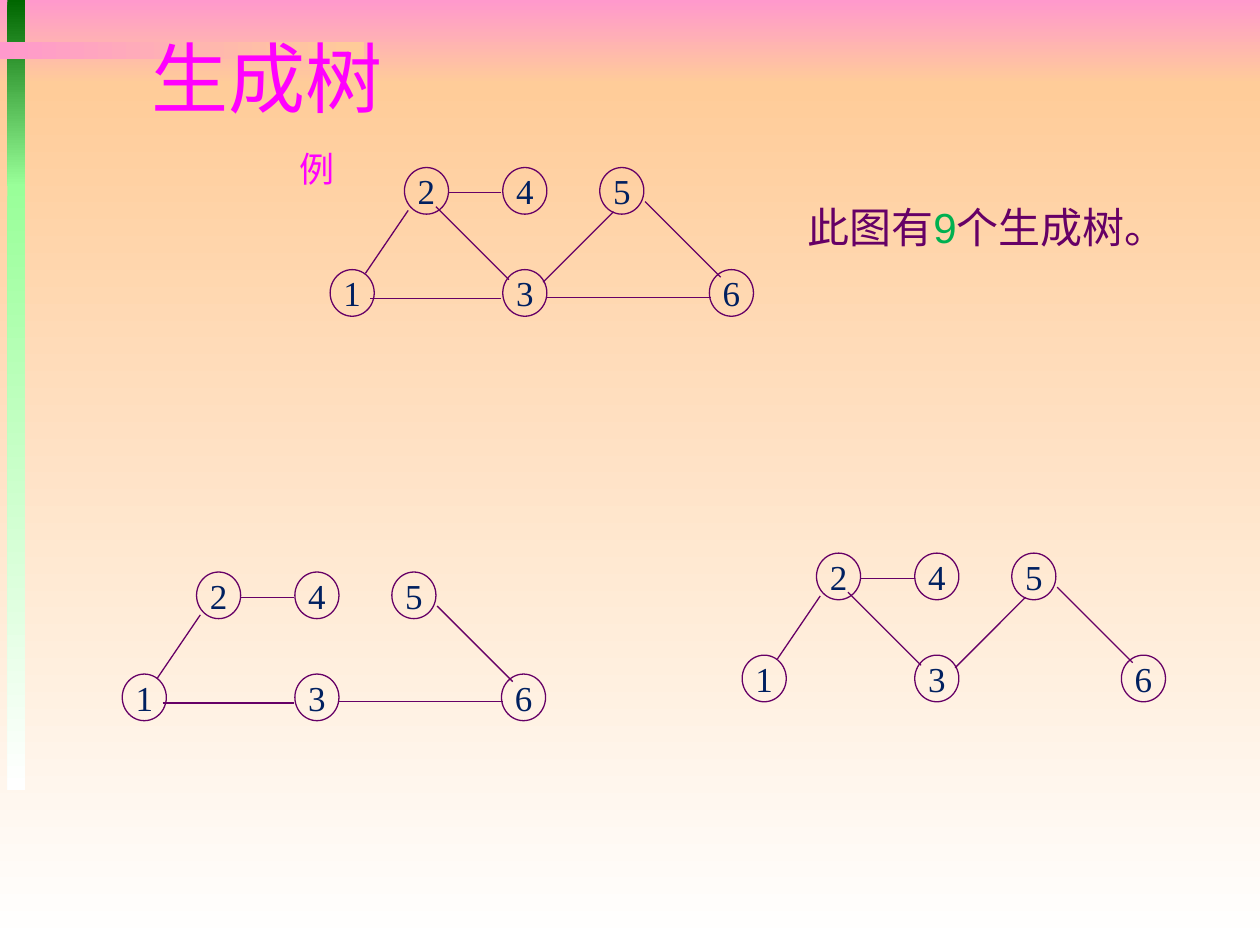
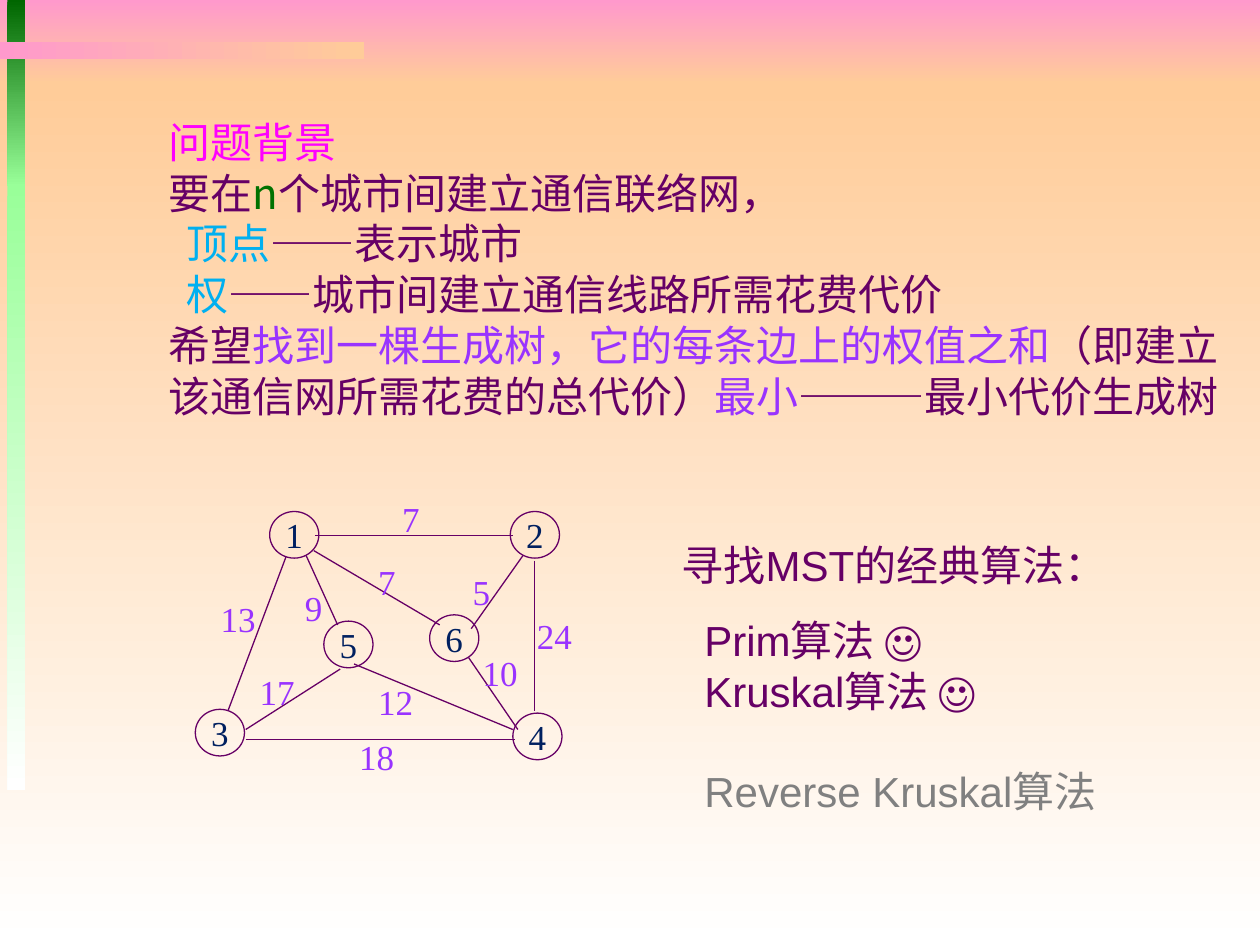
from dataclasses import dataclass

from lxml.etree import SubElement
from pptx import Presentation
from pptx.dml.color import RGBColor
from pptx.enum.shapes import MSO_CONNECTOR, MSO_SHAPE
from pptx.enum.text import MSO_ANCHOR, MSO_AUTO_SIZE, PP_ALIGN
from pptx.oxml.ns import qn
from pptx.util import Inches, Pt

COLS, ROWS = 100, 75
TITLE_ONLY, TWO_LISTS = 5, 3


@dataclass(frozen=True)
class Theme:
    ink: str = "660066"
    node: str = "002060"
    pink: str = "FF00FF"
    violet: str = "9933FF"
    sky: str = "00B0F0"
    green: str = "00B050"
    leaf: str = "007200"
    gray: str = "808080"
    rose: str = "FF99CC"
    peach: str = "FFCC99"
    moss: str = "006600"
    mint: str = "99FF99"
    white: str = "FFFFFF"
    head: int = 44
    text: int = 24
    mark: int = 20
    pitch: int = 29
    line: float = 0.75
    sans: str = "Arial"
    slim: str = "Arial Narrow"
    serif: str = "Times New Roman"
    han: str = "Noto Sans CJK SC"


@dataclass
class Para:
    runs: list
    indent: float = 0
    before: float = 0


class Deck:
    def __init__(self, theme):
        self.theme = theme
        self.file = Presentation()
        self.file.slide_width = Inches(10)
        self.file.slide_height = Inches(7.5)
        self.slide = None
        self.shapes = None

    def x(self, cols):
        return round(self.file.slide_width * cols / COLS)

    def y(self, rows):
        return round(self.file.slide_height * rows / ROWS)

    def box(self, left, top, width, height):
        return self.x(left), self.y(top), self.x(width), self.y(height)

    def start(self, layout):
        self.slide = self.file.slides.add_slide(self.file.slide_layouts[layout])
        self.shapes = self.slide.shapes

    def group(self):
        """Send the next graph parts into a new group."""
        self.shapes = self.slide.shapes.add_group_shape().shapes

    def band(self, spot, first, last, angle):
        shape = self.shapes.add_shape(MSO_SHAPE.RECTANGLE, *self.box(*spot))
        shape.shadow.inherit = False
        shape.line.fill.background()
        shape.fill.gradient()
        shape.fill.gradient_angle = angle
        for stop, tone in zip(shape.fill.gradient_stops, (first, last)):
            stop.color.rgb = RGBColor.from_string(tone)
        return shape

    def backdrop(self):
        """Draw the bands and move them to the master, behind its text."""
        t = self.theme
        down, across = 270, 0
        bands = [
            ((0, 0, 100, 6.7), t.rose, t.peach, down),
            ((0, 6.7, 100, 68.3), t.peach, t.white, down),
            ((0.6, 0, 1.4, 14.8), t.moss, t.mint, down),
            ((0.6, 14.6, 1.4, 48.1), t.mint, t.white, down),
            ((0, 3.3, 28.9, 1.4), t.rose, t.peach, across),
        ]
        tree = self.file.slide_master.shapes.element
        for i, band in enumerate(bands):
            item = self.band(*band).element
            item.nvSpPr.cNvPr.set("id", str(20 + i))
            tree.insert(2 + i, item)

    def fill(self, frame, paras, size, font, align=PP_ALIGN.LEFT,
             anchor=MSO_ANCHOR.TOP, wrap=True, pitch=None):
        frame.auto_size = MSO_AUTO_SIZE.NONE
        frame.word_wrap = wrap
        frame.vertical_anchor = anchor
        for i, para in enumerate(paras):
            line = frame.add_paragraph() if i else frame.paragraphs[0]
            line.alignment = align
            line.space_before = Pt(para.before)
            if pitch:
                line.line_spacing = Pt(pitch)
            props = line._p.get_or_add_pPr()
            props.set("marL", str(self.x(para.indent)))
            props.set("indent", "0")
            SubElement(props, qn("a:buNone"))
            for words, tone in para.runs:
                run = line.add_run()
                run.text = words
                run.font.size = Pt(size)
                run.font.color.rgb = RGBColor.from_string(tone)
                run.font.name = font
                east = SubElement(run._r.get_or_add_rPr(), qn("a:ea"))
                east.set("typeface", self.theme.han)

    def place(self, shape, spot):
        shape.left, shape.top, shape.width, shape.height = self.box(*spot)

    def title(self, words, spot):
        t = self.theme
        shape = self.slide.shapes.title
        self.place(shape, spot)
        self.fill(shape.text_frame, [Para([(words, t.pink)])], t.head, t.slim,
                  anchor=MSO_ANCHOR.MIDDLE)

    def prose(self, paras, spot, font, slot=None):
        """Fill body placeholder number slot, or a new text box."""
        t = self.theme
        if slot is None:
            shape = self.slide.shapes.add_textbox(*self.box(*spot))
        else:
            shape = self.slide.placeholders[slot]
            self.place(shape, spot)
        self.fill(shape.text_frame, paras, t.text, font, pitch=t.pitch)

    def mark(self, shape, words, tone):
        t = self.theme
        frame = shape.text_frame
        frame.margin_left = frame.margin_right = 0
        self.fill(frame, [Para([(words, tone)])], t.mark, t.serif,
                  PP_ALIGN.CENTER, MSO_ANCHOR.MIDDLE, wrap=False)

    def label(self, words, mid, tone):
        wide, high = 4.8, 4.3
        spot = (mid[0] - wide / 2, mid[1] - high / 2, wide, high)
        self.mark(self.shapes.add_textbox(*self.box(*spot)), words, tone)

    def stroke(self, line):
        line.color.rgb = RGBColor.from_string(self.theme.ink)
        line.width = Pt(self.theme.line)

    def node(self, name, left, top, width, height=3.7):
        shape = self.shapes.add_shape(
            MSO_SHAPE.OVAL, *self.box(left, top, width, height))
        shape.shadow.inherit = False
        shape.fill.background()
        self.stroke(shape.line)
        self.mark(shape, name, self.theme.node)

    def edge(self, x1, y1, x2, y2):
        link = self.shapes.add_connector(
            MSO_CONNECTOR.STRAIGHT,
            self.x(x1), self.y(y1), self.x(x2), self.y(y2))
        self.stroke(link.line)
        SubElement(link.element.spPr, qn("a:effectLst"))

    def graph(self, nodes, edges, width, left=0, top=0):
        self.group()
        for name, (x, y) in nodes.items():
            self.node(name, left + x, top + y, width)
        for x1, y1, x2, y2 in edges:
            self.edge(left + x1, top + y1, left + x2, top + y2)


# Offsets from the left of node 1 and the top of node 2
NODES = {"2": (5.9, 0), "4": (13.7, 0), "5": (21.4, 0),
         "1": (0, 8.1), "3": (13.7, 8.1), "6": (30.1, 8.1)}
EDGES = {
    "2-4": (9.4, 2, 13.6, 2),
    "2-3": (8.4, 3.1, 14.2, 8.9),
    "3-6": (17.1, 10.3, 30.2, 10.3),
    "3-5": (16.9, 9.1, 22.5, 3.5),
    "5-6": (25, 2.7, 31, 8.7),
    "1-3": (3.2, 10.4, 13.6, 10.4),
    "1-2": (2.8, 8.4, 6.2, 3.4),
}
# Left, top and edges of the whole graph and two of its trees
TREES = [
    (26.2, 13.3, list(EDGES)),
    (9.7, 45.4, ["2-4", "3-6", "5-6", "1-3", "1-2"]),
    (58.9, 43.9, ["2-4", "2-3", "3-5", "5-6", "1-2"]),
]

CITIES = {"1": (21.4, 40.6), "6": (34.1, 48.8), "5": (25.7, 49.3),
          "4": (40.7, 56.6), "3": (15.5, 56.3), "2": (40.5, 40.6)}
# Line ends, cost, middle of the cost
ROADS = [
    ((25, 42.5, 40.7, 42.5), "7", (32.6, 41.15)),
    ((22.7, 44.2, 18.1, 56.4), "13", (18.9, 49.05)),
    ((24.3, 44.1, 26.8, 49.6), "9", (24.9, 48.25)),
    ((19.5, 58.7, 40.9, 58.7), "18", (29.9, 60.05)),
    ((27, 53.1, 19.5, 57.9), "17", (22, 54.85)),
    ((24.9, 43.7, 34.9, 49.6), "7", (30.7, 46.15)),
    ((42.4, 44.5, 42.4, 56.4), "24", (44, 50.45)),
    ((41.5, 44.1, 37.4, 49.9), "5", (38.2, 46.95)),
    ((37.2, 52.2, 41.1, 57.9), "10", (39.7, 53.35)),
    ((28.1, 52.7, 40.7, 57.9), "12", (31.4, 55.65)),
]


def trees(deck):
    t = deck.theme
    deck.start(TITLE_ONLY)
    deck.backdrop()
    deck.title("生成树", (11, 1.6, 23.6, 9))
    deck.label("例", (25.2, 13.35), t.pink)
    for left, top, names in TREES:
        deck.graph(NODES, [EDGES[n] for n in names], 3.5, left, top)
    deck.prose([Para([("此图有", t.ink), ("9", t.green),
                      ("个生成树。", t.ink)])],
               (63.1, 15.5, 33.7, 5), t.sans)


def network(deck):
    t = deck.theme
    deck.start(TWO_LISTS)
    title = deck.slide.shapes.title.element
    title.getparent().remove(title)
    deck.prose([
        Para([("问题背景", t.pink)]),
        Para([("要在", t.ink), ("n", t.leaf),
              ("个城市间建立通信联络网，", t.ink)]),
        Para([("顶点", t.sky), ("——表示城市", t.ink)], indent=1.4),
        Para([("权", t.sky), ("——城市间建立通信线路所需花费代价", t.ink)],
             indent=1.4),
        Para([("希望", t.ink),
              ("找到一棵生成树，它的每条边上的权值之和", t.violet),
              ("（即建立", t.ink)]),
        Para([("该通信网所需花费的总代价）", t.ink), ("最小", t.violet),
              ("———最小代价生成树", t.ink)]),
    ], (12.4, 8.7, 86.2, 25.2), t.han, slot=1)
    deck.graph(CITIES, [ends for ends, _, _ in ROADS], 3.9)
    for _, cost, mid in ROADS:
        deck.label(cost, mid, t.violet)
    deck.prose([
        Para([("寻找MST的经典算法：", t.ink)]),
        Para([("Prim算法 ☺", t.ink)], indent=1.8, before=14),
        Para([("Kruskal算法 ☺", t.ink)], indent=1.8),
        Para([("Reverse Kruskal算法", t.gray)], indent=1.8, before=28),
    ], (53.1, 42.3, 37.1, 23.2), t.sans, slot=2)


def main():
    deck = Deck(Theme())
    trees(deck)
    network(deck)
    deck.file.save("out.pptx")


if __name__ == "__main__":
    main()
